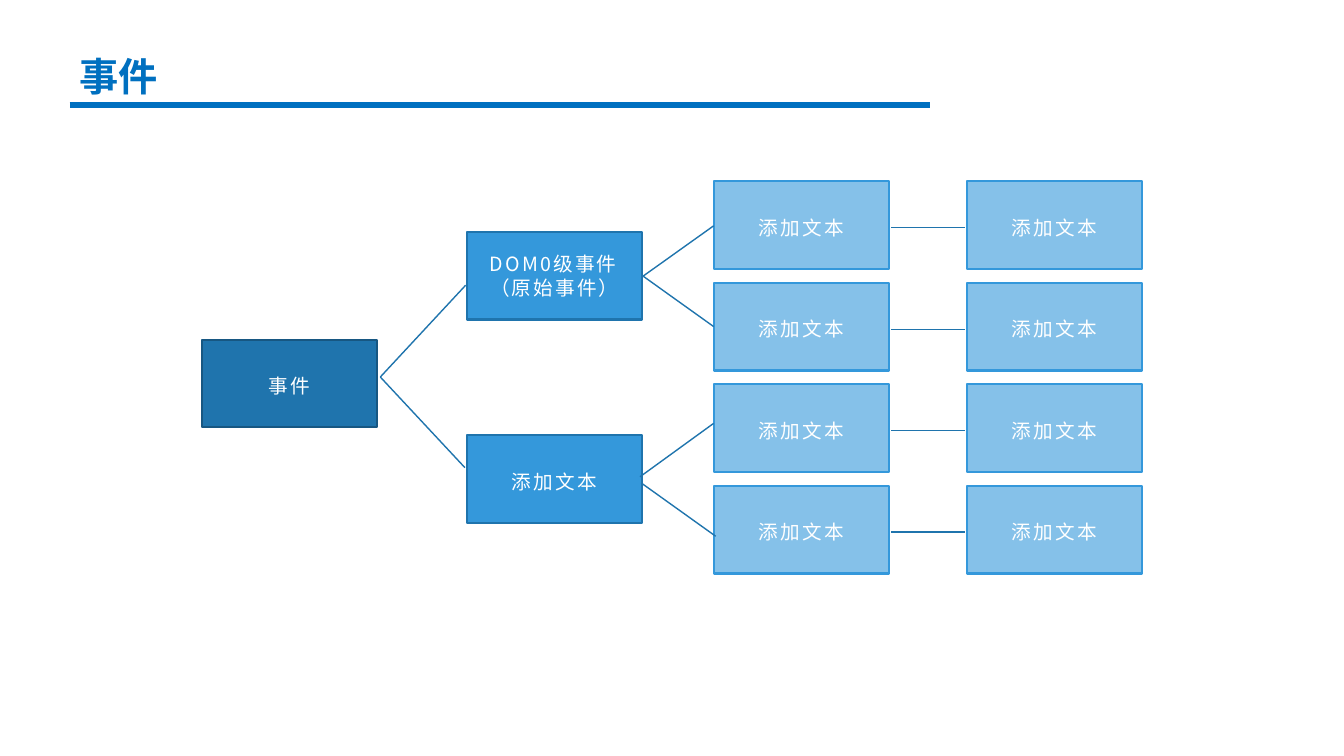
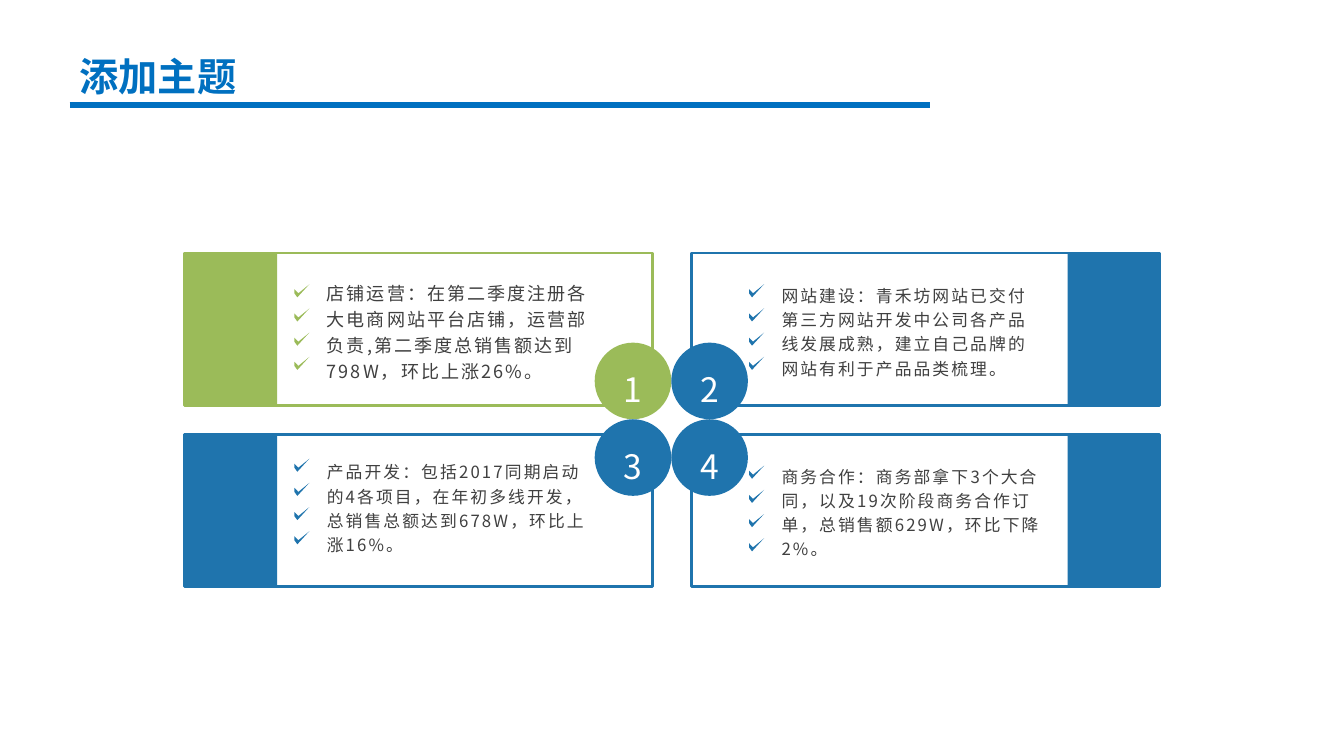
"""Build a two-slide deck: an event tree and a four-panel summary."""
from typing import NamedTuple

from lxml import etree
from pptx import Presentation
from pptx import util as u
from pptx.dml.color import RGBColor
from pptx.enum import shapes, text
from pptx.oxml import ns

SLIDE_WIDTH, SLIDE_HEIGHT = u.Inches(13.33), u.Inches(7.5)
TITLE_BLUE = RGBColor(0x00, 0x70, 0xC0)
DEEP_BLUE = RGBColor(0x1F, 0x74, 0xAD)
DARK_EDGE = RGBColor(0x17, 0x57, 0x82)
MID_BLUE = RGBColor(0x34, 0x98, 0xDB)
LIGHT_BLUE = RGBColor(0x85, 0xC1, 0xE9)
GREEN = RGBColor(0x9B, 0xBB, 0x59)
WHITE = RGBColor(0xFF, 0xFF, 0xFF)
GREY = RGBColor(0x40, 0x40, 0x40)
CJK_FONT = "Noto Sans CJK SC"
TITLE_FONT = "Arial"

NODE_WIDTH, NODE_HEIGHT = 13.05, 11.6
LEAF_TOP, LEAF_PITCH = 24, 13.42
LEAF_COLUMNS = (53.1, 71.92)
PANEL_WIDTH, PANEL_HEIGHT, BAND_WIDTH = 34.83, 20.13, 6.9
BADGE_WIDTH, BADGE_HEIGHT = 5.7, 10.13
BADGE_LEFT, BADGE_TOP = 44.25, 45.33
CHECK_COUNT, CHECK_PITCH = 4, 3.2
CHECK_OUTLINE = ((3, 13), (14, 1), (15, 0), (4, 9), (0, 5))
PLACEHOLDER_TEXT = "添加文本"


class Area(NamedTuple):
    """Left, top, width and height in percent of the slide."""

    left: float
    top: float
    width: float
    height: float

    def emu(self) -> tuple[int, int, int, int]:
        return across(self.left), down(self.top), across(self.width), down(self.height)


class Node(NamedTuple):
    """One box of the tree."""

    left: float
    top: float
    label: str
    fill: RGBColor
    edge: RGBColor
    spacing: float = 1.2


class Link(NamedTuple):
    """A straight line between two points, in percent of the slide."""

    start_x: float
    start_y: float
    end_x: float
    end_y: float


class Panel(NamedTuple):
    """One framed panel of the summary."""

    left: float
    top: float
    band_left: float
    check_left: float
    check_top: float
    text_top: float
    color: RGBColor
    size: float
    body: str


class TextStyle(NamedTuple):
    """Font and paragraph settings."""

    size: float
    color: RGBColor
    align: text.PP_ALIGN = text.PP_ALIGN.CENTER
    spacing: float = 1.2
    tracking: float = 0
    font: str = CJK_FONT
    bold: bool = False


LEAVES = [
    Node(left, LEAF_TOP + row * LEAF_PITCH, PLACEHOLDER_TEXT, LIGHT_BLUE, MID_BLUE)
    for left in LEAF_COLUMNS
    for row in range(4)
]
NODES = [
    Node(15, 44.93, "事件", DEEP_BLUE, DARK_EDGE),
    Node(34.72, 30.67, "DOM0级事件（原始事件）", MID_BLUE, DEEP_BLUE, 1),
    Node(34.72, 57.6, PLACEHOLDER_TEXT, MID_BLUE, DEEP_BLUE),
    *LEAVES,
]
LINKS = [
    Link(28.3, 49.87, 34.65, 37.73),
    Link(28.3, 49.87, 34.6, 61.87),
    Link(47.85, 36.53, 53.1, 29.87),
    Link(47.85, 36.53, 53.1, 43.2),
    Link(47.62, 63.07, 53.1, 56),
    Link(47.7, 63.87, 53.25, 70.93),
    *(Link(66.3, 30.13 + row * LEAF_PITCH, 71.78, 30.13 + row * LEAF_PITCH) for row in range(4)),
]
PANELS = [
    Panel(13.73, 33.47, 13.73, 21.9, 37.6, 34.67, GREEN, 12.9,
          "店铺运营：在第二季度注册各大电商网站平台店铺，运营部负责,第二季度总销售额达到798W，环比上涨26%。"),
    Panel(51.46, 33.47, 79.43, 55.73, 37.6, 34.67, DEEP_BLUE, 12,
          "网站建设：青禾坊网站已交付第三方网站开发中公司各产品线发展成熟，建立自己品牌的网站有利于产品品类梳理。"),
    Panel(13.73, 57.47, 13.73, 21.9, 60.67, 58, DEEP_BLUE, 12,
          "产品开发：包括2017同期启动的4各项目，在年初多线开发，总销售总额达到678W，环比上涨16%。"),
    Panel(51.46, 57.47, 79.43, 55.73, 61.6, 58.53, DEEP_BLUE, 12,
          "商务合作：商务部拿下3个大合同，以及19次阶段商务合作订单，总销售额629W，环比下降2%。"),
]


def across(share: float) -> int:
    return round(SLIDE_WIDTH * share / 100)


def down(share: float) -> int:
    return round(SLIDE_HEIGHT * share / 100)


def write(shape, content: str, style: TextStyle, anchor=text.MSO_ANCHOR.MIDDLE) -> None:
    frame = shape.text_frame
    frame.text = content
    frame.word_wrap = True
    frame.vertical_anchor = anchor
    paragraph = frame.paragraphs[0]
    paragraph.alignment = style.align
    paragraph.line_spacing = style.spacing
    for run in paragraph.runs:
        run.font.size = u.Pt(style.size)
        run.font.bold = style.bold
        run.font.color.rgb = style.color
        run.font.name = style.font
        properties = run._r.get_or_add_rPr()
        properties.set("lang", "zh-CN")
        properties.set("spc", str(round(style.tracking * 100)))
        etree.SubElement(properties, ns.qn("a:ea")).set("typeface", CJK_FONT)


def paint(shape, fill: RGBColor | None, edge: RGBColor | None = None, width: float = 1.5) -> None:
    shape.shadow.inherit = False
    if fill is None:
        shape.fill.background()
    else:
        shape.fill.solid()
        shape.fill.fore_color.rgb = fill
    if edge is None:
        shape.line.fill.background()
    else:
        shape.line.color.rgb = edge
        shape.line.width = u.Pt(width)


def add_line(slide, link: Link, color: RGBColor, width: float) -> None:
    connector = slide.shapes.add_connector(
        shapes.MSO_CONNECTOR.STRAIGHT,
        across(link.start_x), down(link.start_y), across(link.end_x), down(link.end_y),
    )
    connector.line.color.rgb = color
    connector.line.width = u.Pt(width)
    etree.SubElement(connector._element.spPr, ns.qn("a:effectLst"))


def add_titled_slide(presentation, title: str):
    slide = presentation.slides.add_slide(presentation.slide_layouts[5])
    placeholder = slide.shapes.title
    placeholder.left, placeholder.top, placeholder.width, placeholder.height = Area(
        5.18, 6.27, 19.5, 7.6).emu()
    style = TextStyle(28, TITLE_BLUE, text.PP_ALIGN.JUSTIFY, 1, font=TITLE_FONT, bold=True)
    write(placeholder, title, style, text.MSO_ANCHOR.TOP)
    placeholder.text_frame.auto_size = text.MSO_AUTO_SIZE.SHAPE_TO_FIT_TEXT
    add_line(slide, Link(5.18, 13.87, 69.17, 13.87), TITLE_BLUE, 4.5)
    return slide


def add_node(slide, node: Node) -> None:
    area = Area(node.left, node.top, NODE_WIDTH, NODE_HEIGHT)
    box = slide.shapes.add_shape(shapes.MSO_SHAPE.RECTANGLE, *area.emu())
    paint(box, node.fill, node.edge)
    box.text_frame.margin_left = box.text_frame.margin_right = u.Inches(0.23)
    write(box, node.label, TextStyle(14, WHITE, spacing=node.spacing, tracking=1.5))


def add_check(slide, left: float, top: float, color: RGBColor) -> None:
    builder = slide.shapes.build_freeform(0, 9, scale=u.Inches(0.01))
    builder.add_line_segments(CHECK_OUTLINE, close=True)
    paint(builder.convert_to_shape(across(left), down(top)), color)


def add_panel(slide, panel: Panel) -> None:
    rectangle = shapes.MSO_SHAPE.RECTANGLE
    frame = slide.shapes.add_shape(
        rectangle, *Area(panel.left, panel.top, PANEL_WIDTH, PANEL_HEIGHT).emu())
    paint(frame, None, panel.color, 2)
    band = slide.shapes.add_shape(
        rectangle, *Area(panel.band_left, panel.top, BAND_WIDTH, PANEL_HEIGHT).emu())
    paint(band, panel.color)
    for row in range(CHECK_COUNT):
        add_check(slide, panel.check_left, panel.check_top + row * CHECK_PITCH, panel.color)
    body = slide.shapes.add_textbox(*Area(panel.check_left + 1.68, panel.text_top, 21.08, 18).emu())
    write(body, panel.body, TextStyle(panel.size, GREY, text.PP_ALIGN.LEFT, tracking=1.5))


def add_badge(slide, index: int, color: RGBColor) -> None:
    row, column = divmod(index, 2)
    area = Area(BADGE_LEFT + column * BADGE_WIDTH, BADGE_TOP + row * BADGE_HEIGHT,
                BADGE_WIDTH, BADGE_HEIGHT)
    badge = slide.shapes.add_shape(shapes.MSO_SHAPE.OVAL, *area.emu())
    paint(badge, color)
    frame = badge.text_frame
    frame.margin_left = frame.margin_right = frame.margin_bottom = 0
    frame.margin_top = u.Inches(0.07)
    write(badge, str(index + 1), TextStyle(24, WHITE), text.MSO_ANCHOR.TOP)


def build_tree(presentation) -> None:
    slide = add_titled_slide(presentation, "事件")
    for node in NODES:
        add_node(slide, node)
    for link in LINKS:
        add_line(slide, link, DEEP_BLUE, 1)


def build_summary(presentation) -> None:
    slide = add_titled_slide(presentation, "添加主题")
    for panel in PANELS:
        add_panel(slide, panel)
    for index, panel in enumerate(PANELS):
        add_badge(slide, index, panel.color)


def main() -> None:
    presentation = Presentation()
    presentation.slide_width, presentation.slide_height = SLIDE_WIDTH, SLIDE_HEIGHT
    build_tree(presentation)
    build_summary(presentation)
    presentation.save("out.pptx")


if __name__ == "__main__":
    main()
